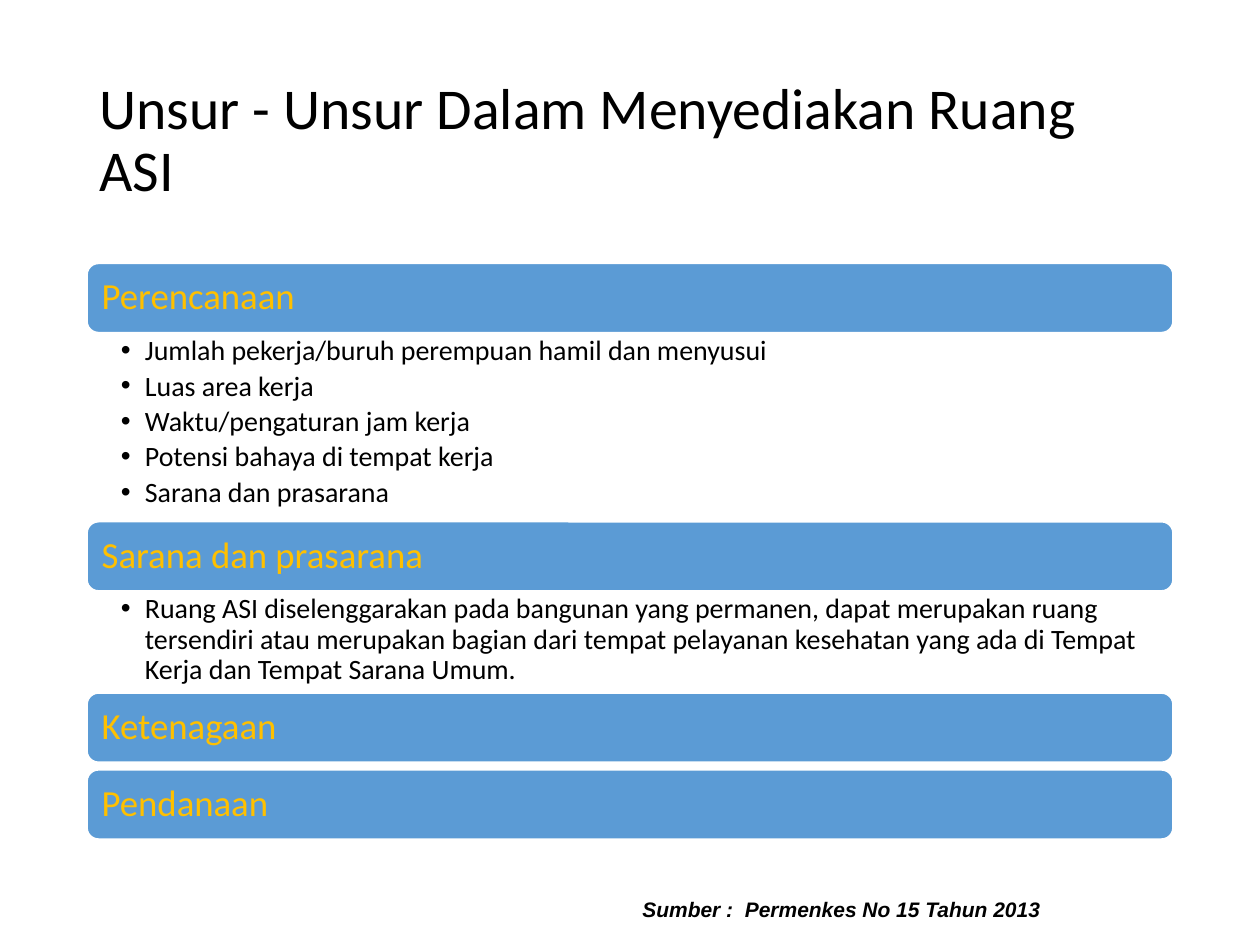
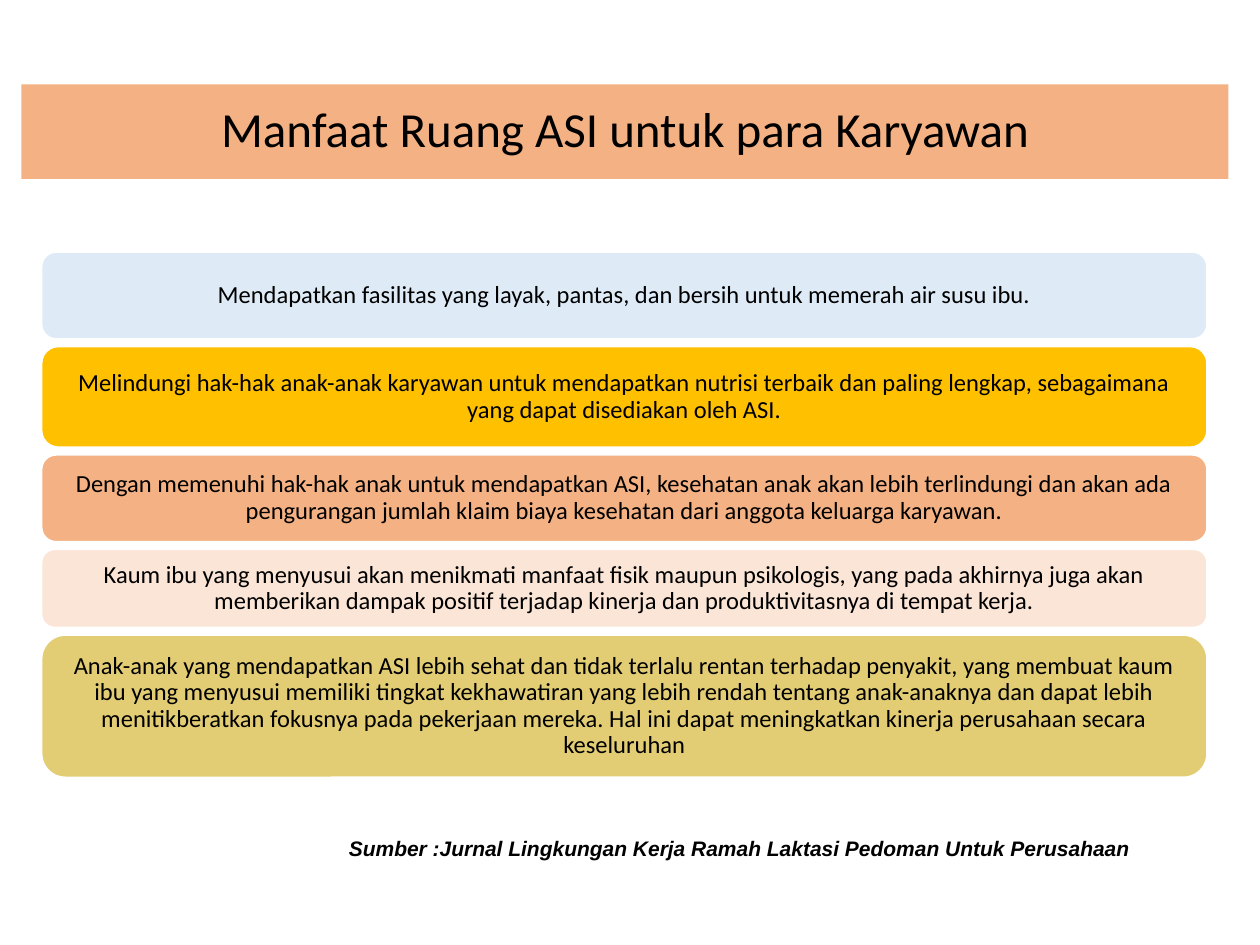
from dataclasses import dataclass

from lxml.etree import SubElement
from pptx import Presentation
from pptx.dml.color import RGBColor
from pptx.enum.shapes import MSO_SHAPE as Shape
from pptx.enum.text import MSO_ANCHOR as Anchor, PP_ALIGN as Align
from pptx.oxml.ns import qn
from pptx.util import Inches, Pt


@dataclass(frozen=True)
class Theme:
    # Colours
    ink: str = "000000"
    white: str = "FFFFFF"
    blue: str = "5B9BD5"
    pale_blue: str = "DEEBF7"
    gold: str = "FFC000"
    peach: str = "F4B183"
    pale_peach: str = "FBE5D6"
    olive: str = "E3CD74"
    # Fonts and type sizes
    body_font: str = "Calibri"
    source_font: str = "Arial"
    title_size: int = 33
    banner_size: int = 28
    heading_size: int = 21
    bullet_size: int = 16
    card_size: int = 14
    source_size: int = 12
    # Spacing
    line_spacing: float = 0.9
    bullet_gap: int = 3


THEME = Theme()
STACK_GAP = 0.06
TEXT_INSETS = (0.1, 0.05, 0.1, 0.05)


class Deck:
    """Holds the style, the presentation and the current slide."""

    def __init__(self, theme):
        self.theme = theme
        self.presentation = Presentation()
        self.presentation.slide_width = Inches(10)
        self.presentation.slide_height = Inches(7.5)
        self.slide = None

    def new_slide(self):
        blank = self.presentation.slide_layouts[6]
        self.slide = self.presentation.slides.add_slide(blank)

    def fill_text(self, holder, lines, size, color=THEME.ink,
                  font=THEME.body_font, insets=TEXT_INSETS,
                  anchor=Anchor.MIDDLE, align=Align.LEFT,
                  spacing=THEME.line_spacing, bulleted=False, **emphasis):
        frame = holder.text_frame
        sides = ("margin_left", "margin_top", "margin_right", "margin_bottom")
        frame_format = dict(zip(sides, map(Inches, insets)),
                            word_wrap=True, vertical_anchor=anchor)
        for name, value in frame_format.items():
            setattr(frame, name, value)
        font_format = {"name": font, "size": Pt(size), **emphasis}
        for index, line in enumerate(lines):
            paragraph = frame.add_paragraph() if index else frame.paragraphs[0]
            if bulleted:
                self.add_bullet(paragraph)
            paragraph.alignment = align
            paragraph.line_spacing = spacing
            run = paragraph.add_run()
            run.text = line
            for name, value in font_format.items():
                setattr(run.font, name, value)
            run.font.color.rgb = RGBColor.from_string(color)

    def add_bullet(self, paragraph):
        properties = paragraph._p.get_or_add_pPr()
        properties.set("marL", str(Inches(0.19)))
        properties.set("indent", str(-Inches(0.19)))
        SubElement(properties, qn("a:buFont"), typeface="Arial")
        SubElement(properties, qn("a:buChar"), char="•")
        paragraph.space_after = Pt(self.theme.bullet_gap)

    def text(self, box, lines, size, **style):
        holder = self.slide.shapes.add_textbox(*map(Inches, box))
        self.fill_text(holder, lines, size, **style)

    def panel(self, kind, box, fill, line, size, outline=None, **style):
        panel = self.slide.shapes.add_shape(kind, *map(Inches, box))
        panel.shadow.inherit = False
        panel.fill.solid()
        panel.fill.fore_color.rgb = RGBColor.from_string(fill)
        if outline:
            panel.line.color.rgb = RGBColor.from_string(outline)
            panel.line.width = Pt(1)
        else:
            panel.line.fill.background()
        self.fill_text(panel, [line], size, **style)

    def title(self, line):
        self.text((0.69, 0.4, 8.62, 1.45), [line], self.theme.title_size)

    def banner(self, line):
        self.panel(Shape.RECTANGLE, (0.17, 0.67, 9.58, 0.75), self.theme.peach,
                   line, self.theme.banner_size, align=Align.CENTER)

    def heading(self, box, line):
        self.panel(Shape.ROUNDED_RECTANGLE, box, self.theme.blue, line,
                   self.theme.heading_size, outline=self.theme.white,
                   color=self.theme.gold, insets=(0.09,) * 4)

    def bullets(self, box, lines):
        self.text(box, lines, self.theme.bullet_size, bulleted=True,
                  insets=(0.27, 0.03, 0.16, 0.03), anchor=Anchor.TOP)

    def card(self, box, fill, line):
        self.panel(Shape.ROUNDED_RECTANGLE, box, fill, line,
                   self.theme.card_size, outline=self.theme.white,
                   align=Align.CENTER, insets=(0.06, 0.03, 0.06, 0.03))

    def source(self, box, line):
        self.text(box, [line], self.theme.source_size, spacing=1.0,
                  font=self.theme.source_font, anchor=Anchor.TOP,
                  bold=True, italic=True)


# Each element: heading, height of its details, details
ELEMENTS = [
    ("Perencanaan", 1.5, [
        "Jumlah pekerja/buruh perempuan hamil dan menyusui",
        "Luas area kerja",
        "Waktu/pengaturan jam kerja",
        "Potensi bahaya di tempat kerja",
        "Sarana dan prasarana",
    ]),
    ("Sarana dan prasarana", 0.81, [
        "Ruang ASI diselenggarakan pada bangunan yang permanen, dapat merupakan "
        "ruang tersendiri atau merupakan bagian dari tempat pelayanan kesehatan "
        "yang ada di Tempat Kerja dan Tempat Sarana Umum.",
    ]),
    ("Ketenagaan", STACK_GAP, []),
    ("Pendanaan", STACK_GAP, []),
]

# Each benefit: card height, fill, wording
BENEFITS = [
    (0.69, THEME.pale_blue,
     "Mendapatkan fasilitas yang layak, pantas, dan bersih untuk memerah air "
     "susu ibu."),
    (0.8, THEME.gold,
     "Melindungi hak-hak anak-anak karyawan untuk mendapatkan nutrisi terbaik "
     "dan paling lengkap, sebagaimana yang dapat disediakan oleh ASI."),
    (0.69, THEME.peach,
     "Dengan memenuhi hak-hak anak untuk mendapatkan ASI, kesehatan anak akan "
     "lebih terlindungi dan akan ada pengurangan jumlah klaim biaya kesehatan "
     "dari anggota keluarga karyawan."),
    (0.62, THEME.pale_peach,
     "Kaum ibu yang menyusui akan menikmati manfaat fisik maupun psikologis, "
     "yang pada akhirnya juga akan memberikan dampak positif terjadap kinerja "
     "dan produktivitasnya di tempat kerja."),
    (1.13, THEME.olive,
     "Anak-anak yang mendapatkan ASI lebih sehat dan tidak terlalu rentan "
     "terhadap penyakit, yang membuat kaum ibu yang menyusui memiliki tingkat "
     "kekhawatiran yang lebih rendah tentang anak-anaknya dan dapat lebih "
     "menitikberatkan fokusnya pada pekerjaan mereka. Hal ini dapat "
     "meningkatkan kinerja perusahaan secara keseluruhan"),
]


def add_elements_slide(deck):
    deck.new_slide()
    deck.title("Unsur - Unsur Dalam Menyediakan Ruang ASI")
    left, top, width, heading_height = 0.69, 2.09, 8.62, 0.55
    for heading, details_height, details in ELEMENTS:
        deck.heading((left, top, width, heading_height), heading)
        top += heading_height
        if details:
            deck.bullets((left, top, width, details_height), details)
        top += details_height
    deck.source((5, 7.07, 4.83, 0.3), "Sumber :  Permenkes No 15 Tahun 2013")


def add_benefits_slide(deck):
    deck.new_slide()
    deck.banner("Manfaat Ruang ASI untuk para Karyawan")
    top = 2
    for height, fill, benefit in BENEFITS:
        deck.card((0.33, top, 9.25, height), fill, benefit)
        top += height + STACK_GAP
    deck.source((2.67, 6.58, 7.58, 0.3),
                "Sumber :Jurnal Lingkungan Kerja Ramah Laktasi Pedoman Untuk "
                "Perusahaan")


def main():
    deck = Deck(THEME)
    add_elements_slide(deck)
    add_benefits_slide(deck)
    deck.presentation.save("out.pptx")


if __name__ == "__main__":
    main()
